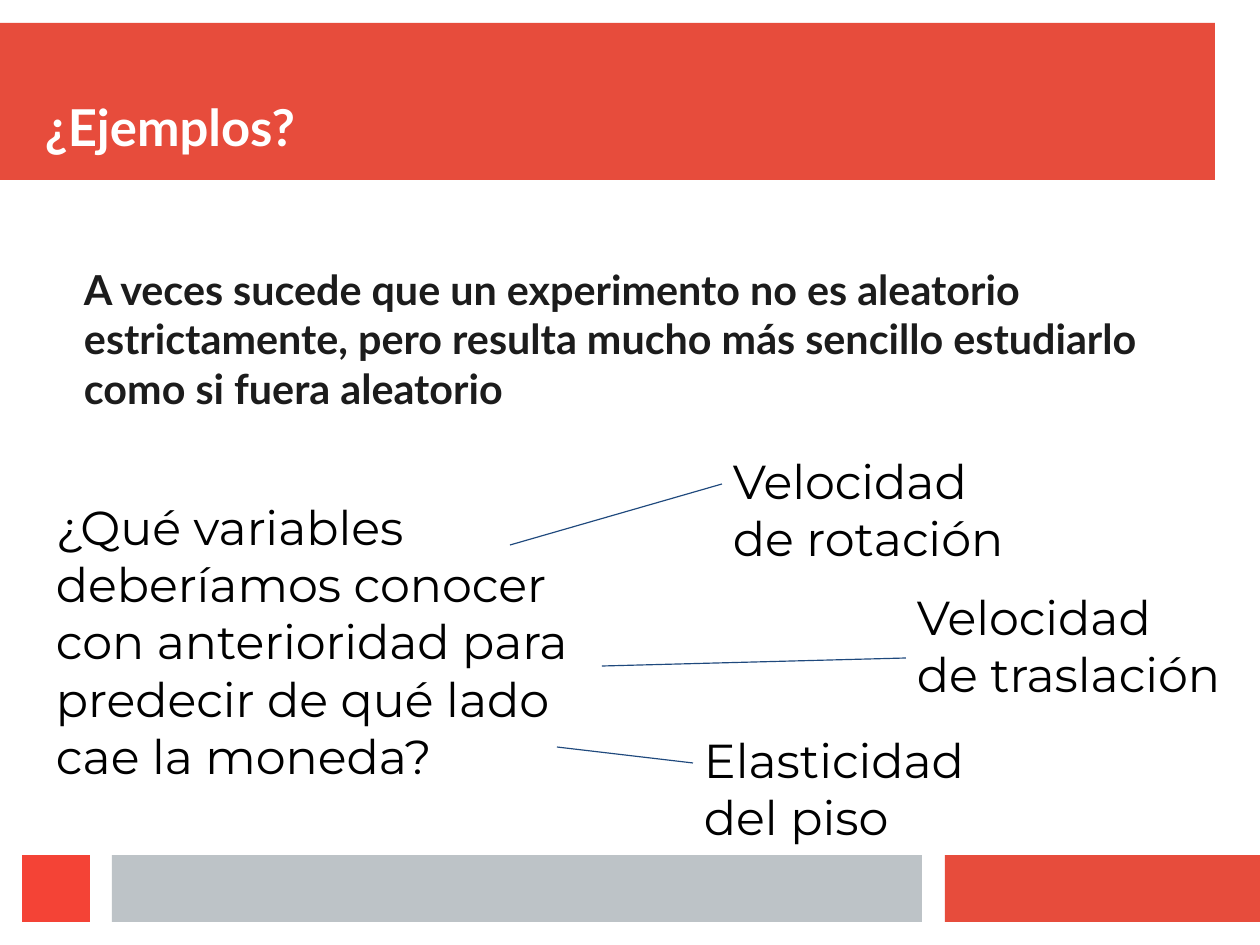
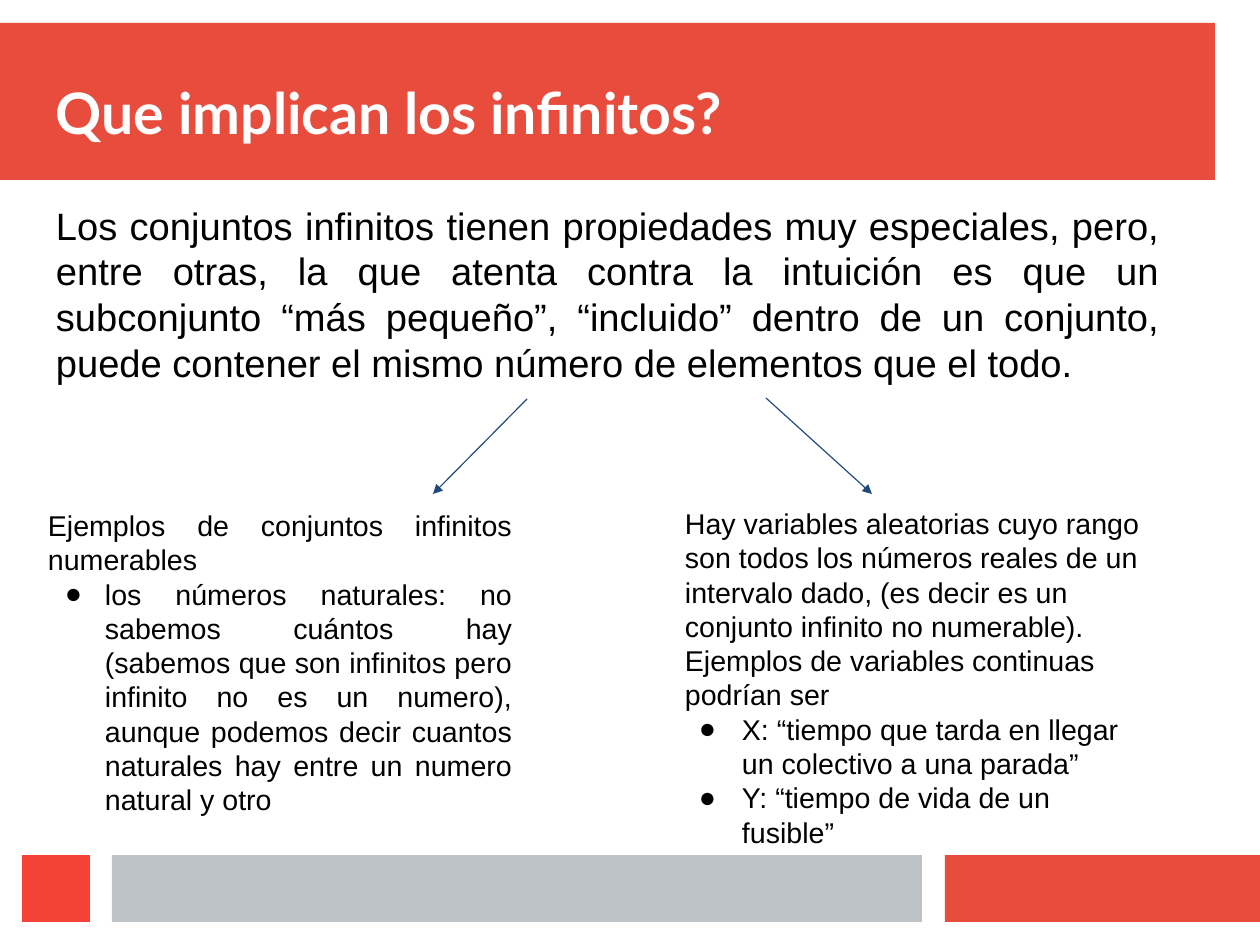
from dataclasses import dataclass

from lxml.etree import SubElement
from pptx import Presentation
from pptx.dml.color import RGBColor as Color
from pptx.enum.shapes import MSO_CONNECTOR as Connector, MSO_SHAPE as Shape
from pptx.enum.text import MSO_ANCHOR as Anchor, PP_ALIGN as Align
from pptx.oxml.ns import qn
from pptx.util import Emu, Pt

EMU_PER_PX = 8000
LEFT_SIDE = 1


@dataclass(frozen=True)
class Style:
    """Font settings of one kind of text."""

    font: str
    size: int
    color: str
    bold: bool = False


@dataclass(frozen=True)
class Theme:
    """Colours and type styles shared by the slides."""

    band: str = "E74C3C"
    footer: str = "BDC3C7"
    accent: str = "F44336"
    line: str = "1F497D"
    line_width: float = 0.75
    small_title: Style = Style("Lato", 32, "FFFFFF", True)
    large_title: Style = Style("Lato", 36, "FFFFFF", True)
    statement: Style = Style("Lato", 26, "1C1C1C", True)
    idea: Style = Style("Montserrat", 30, "000000")
    lead: Style = Style("Arial", 24, "000000")
    detail: Style = Style("Arial", 18, "000000")


THEME = Theme()


def px(length):
    """Turn px into EMU."""
    return Emu(length * EMU_PER_PX)


def add_band(slide, box, color):
    """Add a plain filled rectangle."""
    shape = slide.shapes.add_shape(Shape.RECTANGLE, *map(px, box))
    shape.shadow.inherit = False
    shape.fill.solid()
    shape.fill.fore_color.rgb = Color.from_string(color)
    shape.line.fill.background()


def style_paragraph(paragraph, style, align):
    """Apply a type style and an alignment to a paragraph."""
    paragraph.alignment = align
    font = paragraph.font
    font.name = style.font
    font.size = Pt(style.size)
    font.bold = style.bold
    font.color.rgb = Color.from_string(style.color)


def add_bullet(paragraph, typeface, hanging):
    """Give a paragraph a round bullet with a hanging indent."""
    properties = paragraph._p.get_or_add_pPr()
    properties.set("marL", str(px(57)))
    properties.set("indent", str(-px(hanging)))
    for tag, name, value in (("a:buFont", "typeface", typeface),
                             ("a:buChar", "char", "●")):
        element = SubElement(properties, qn(tag))
        element.set(name, value)
        properties.insert_element_before(element, "a:tabLst", "a:defRPr", "a:extLst")


def add_text(slide, box, text, style, align=Align.LEFT, inset=(11, 11),
             anchor=Anchor.TOP, bullets=(), hanging=40):
    """Add a text box with one paragraph and optional bullets below it."""
    shape = slide.shapes.add_textbox(*map(px, box))
    frame = shape.text_frame
    frame.word_wrap = True
    frame.vertical_anchor = anchor
    frame.margin_left = frame.margin_right = px(inset[0])
    frame.margin_top = frame.margin_bottom = px(inset[1])
    frame.text = text
    style_paragraph(frame.paragraphs[0], style, align)
    for item in bullets:
        paragraph = frame.add_paragraph()
        paragraph.text = item
        style_paragraph(paragraph, style, align)
        add_bullet(paragraph, style.font, hanging)
    return shape


def add_line(slide, start, end, arrow=False):
    """Add a thin straight line, with an arrowhead at its end if asked."""
    line = slide.shapes.add_connector(
        Connector.STRAIGHT, *map(px, (*start, *end)))
    line.line.color.rgb = Color.from_string(THEME.line)
    line.line.width = Pt(THEME.line_width)
    if arrow:
        SubElement(line.line._get_or_add_ln(), qn("a:tailEnd")).set("type", "triangle")
    SubElement(line._element.spPr, qn("a:effectLst"))
    return line


def add_frame(presentation, title, style, inset):
    """Add a slide with the shared bands and its title."""
    slide = presentation.slides.add_slide(presentation.slide_layouts[6])
    add_band(slide, (0, 23, 1215, 157), THEME.band)
    for left, width, color in ((945, 315, THEME.band),
                               (112, 810, THEME.footer),
                               (22, 68, THEME.accent)):
        add_band(slide, (left, 855, width, 67), color)
    add_text(slide, (45, 45, 1170, 112), title, style,
             inset=(inset, inset), anchor=Anchor.BOTTOM)
    return slide


def add_variables(slide, box):
    """Link the question to the variables within the given box."""
    left, top, width, height = box
    add_text(slide, (left, top + 46, width // 2, height - 46),
             "¿Qué variables deberíamos conocer con anterioridad para "
             "predecir de qué lado cae la moneda?",
             THEME.idea, inset=(11, 6))
    variables = (
        ("Velocidad de rotación", (677, 0, 310, 76), (465, 99)),
        ("Velocidad de traslación", (861, 136, 328, 152), (557, 220)),
        ("Elasticidad del piso", (648, 279, 330, 76), (512, 301)),
    )
    for text, (x, y, w, h), (start_x, start_y) in variables:
        label = add_text(slide, (left + x, top + y, w, h), text,
                         THEME.idea, inset=(11, 6))
        line = add_line(slide, (left + start_x, top + start_y),
                        (left + x, top + y + h // 2))
        line.end_connect(label, LEFT_SIDE)


def add_examples_slide(presentation):
    """Build the slide on experiments treated as random."""
    slide = add_frame(presentation, "¿Ejemplos?", THEME.small_title, 0)
    add_text(slide, (73, 253, 1084, 172),
             "A veces sucede que un experimento no es aleatorio estrictamente, "
             "pero resulta mucho más sencillo estudiarlo como si fuera aleatorio",
             THEME.statement)
    add_variables(slide, (45, 446, 1208, 366))


def add_infinities_slide(presentation):
    """Build the slide on countable and uncountable sets."""
    slide = add_frame(presentation, "Que implican los infinitos?",
                      THEME.large_title, 11)
    add_text(slide, (45, 191, 1125, 206),
             "Los conjuntos infinitos tienen propiedades muy especiales, pero, "
             "entre otras, la que atenta contra la intuición es que un "
             "subconjunto “más pequeño”, “incluido” dentro de un conjunto, "
             "puede contener el mismo número de elementos que el todo.",
             THEME.lead, Align.JUSTIFY)
    add_text(slide, (37, 497, 486, 349),
             "Ejemplos de conjuntos infinitos numerables",
             THEME.detail, Align.JUSTIFY,
             bullets=("los números naturales: no sabemos cuántos hay (sabemos "
                      "que son infinitos pero infinito no es un numero), aunque "
                      "podemos decir cuantos naturales hay entre un numero "
                      "natural y otro",))
    add_text(slide, (674, 495, 486, 360),
             "Hay variables aleatorias cuyo rango son todos los números reales "
             "de un intervalo dado, (es decir es un conjunto infinito no "
             "numerable). Ejemplos de variables continuas podrían ser",
             THEME.detail, hanging=43,
             bullets=("X: “tiempo que tarda en llegar un colectivo a una parada”",
                      "Y: “tiempo de vida de un fusible”"))
    for start, end in (((527, 399), (433, 494)), ((766, 398), (872, 494))):
        add_line(slide, start, end, arrow=True)


def main():
    """Build and save the presentation."""
    presentation = Presentation()
    presentation.slide_width = px(1260)
    presentation.slide_height = px(945)
    add_examples_slide(presentation)
    add_infinities_slide(presentation)
    presentation.save("out.pptx")


if __name__ == "__main__":
    main()
